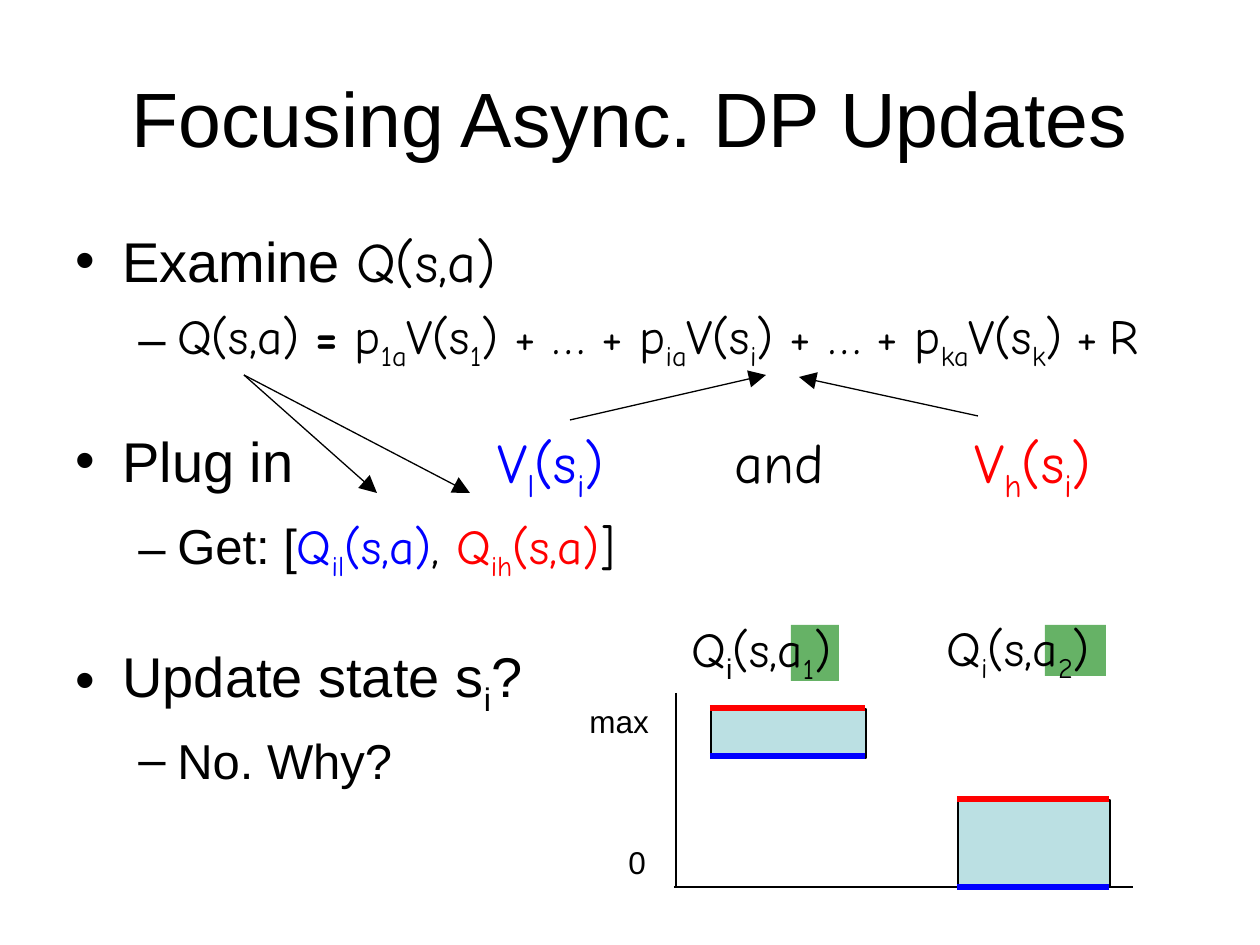
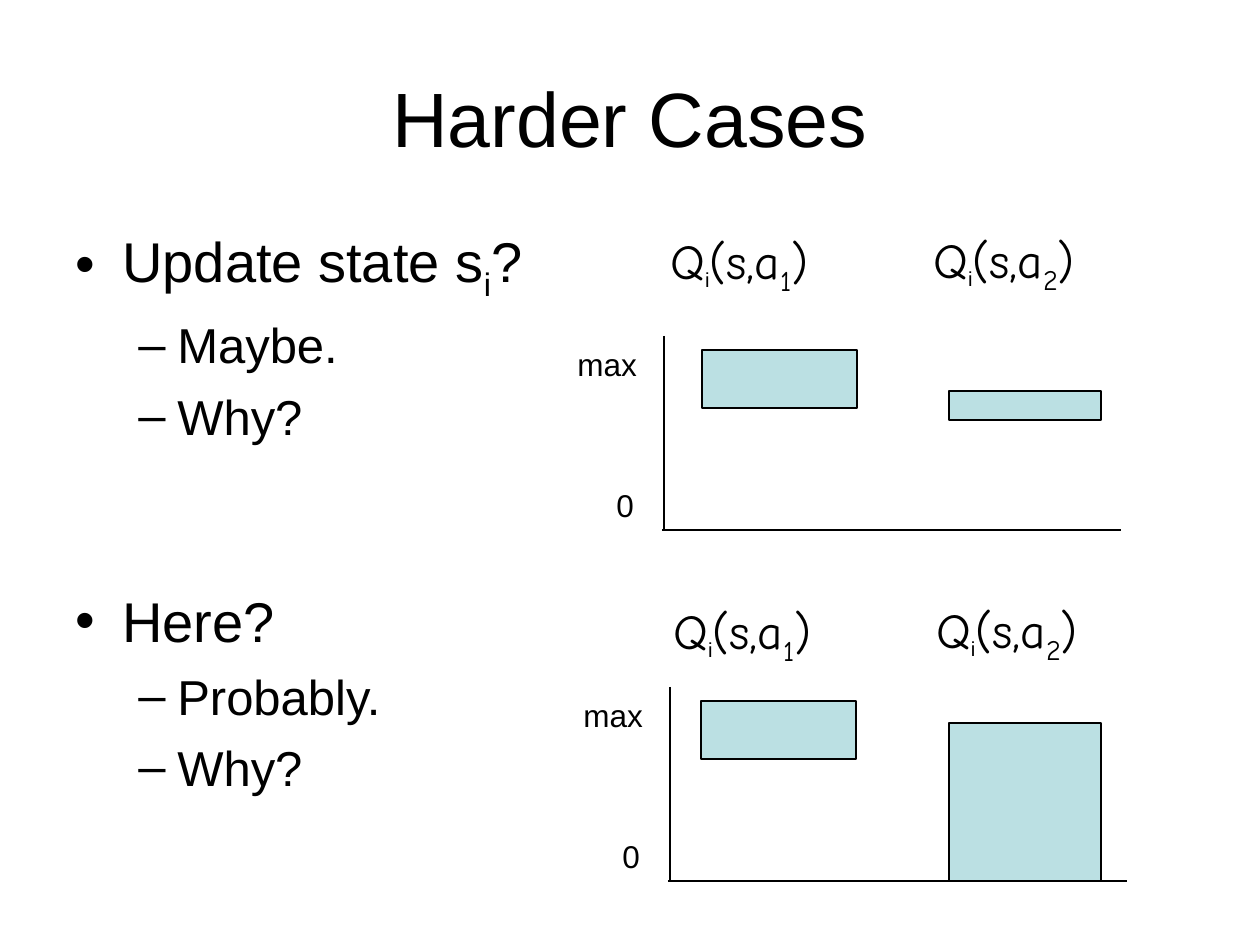
from lxml import etree
from pptx import Presentation
from pptx import util as u
from pptx.dml.color import RGBColor
from pptx.enum import shapes, text
from pptx.oxml import ns

PX = 914400 // 126
BLACK, BLUE, RED = "000000", "0000FF", "FF0000"
BAR_FILL, GREEN = "BBE0E3", "008000"
SANS, HAND = "Arial", "Comic Neue"
LEVELS = [
    {"bullet": "•", "margin": 47, "hang": 47, "size": 32, "before": 8},
    {"bullet": "–", "margin": 102, "hang": 39, "size": 28, "before": 7},
]


def px(length):
    """Turn whole pixels into EMU."""
    return u.Emu(length * PX)


def rgb(value):
    """Turn a hex string into a colour."""
    return RGBColor.from_string(value)


def add_child(parent, tag, **attributes):
    """Append a drawing element with attributes."""
    return etree.SubElement(parent, ns.qn(tag), attributes)


def plain(words, **style):
    """Make one span in the sans font."""
    return [(words, {"font": SANS, **style})]


def formula(*pieces, sub_style=None, **style):
    """Make hand-lettered spans in which every second piece is a subscript."""
    spans = []
    for index, piece in enumerate(pieces):
        extra = {"sub": True, **(sub_style or {})} if index % 2 else {}
        spans.append((piece, {"font": HAND, **style, **extra}))
    return spans


def write_spans(para, spans, size):
    """Write styled spans into a paragraph."""
    for words, style in spans:
        span = para.add_run()
        span.text = words
        span.font.name = style["font"]
        span.font.size = u.Pt(style.get("size", size))
        span.font.bold = style.get("bold", False)
        span.font.color.rgb = rgb(style.get("color", BLACK))
        if style.get("sub"):
            span._r.get_or_add_rPr().set("baseline", "-25000")


def add_box(page, left, top, width, height):
    """Add an empty wrapping text box and return its frame."""
    frame = page.shapes.add_textbox(px(left), px(top), px(width), px(height)).text_frame
    frame.word_wrap = True
    return frame


def add_label(page, left, top, width, height, spans, size):
    """Add a one-line label."""
    frame = add_box(page, left, top, width, height)
    write_spans(frame.paragraphs[0], spans, size)


def add_title(page, words):
    """Add the centred slide title."""
    frame = add_box(page, 63, 38, 1134, 157)
    frame.vertical_anchor = text.MSO_ANCHOR.MIDDLE
    para = frame.paragraphs[0]
    para.alignment = text.PP_ALIGN.CENTER
    write_spans(para, plain(words), 44)


def add_bullets(page, width, height, items):
    """Add the bulleted body from (level, spans, space before) items."""
    frame = add_box(page, 63, 220, width, height)
    for index, (depth, spans, before) in enumerate(items):
        level = LEVELS[depth]
        para = frame.add_paragraph() if index else frame.paragraphs[0]
        para.level = depth
        para.space_before = u.Pt((before or level["before"]) if index else 0)
        props = para._p.get_or_add_pPr()
        props.set("marL", str(px(level["margin"])))
        props.set("indent", str(-px(level["hang"])))
        add_child(add_child(props, "a:buClr"), "a:srgbClr", val=BLACK)
        add_child(props, "a:buFont", typeface=SANS)
        add_child(props, "a:buChar", char=level["bullet"])
        write_spans(para, spans, level["size"])


def add_line(page, start, end, color=BLACK, weight=0.75, arrow=False):
    """Add a straight line, with an arrowhead at its end if wanted."""
    line = page.shapes.add_connector(
        shapes.MSO_CONNECTOR.STRAIGHT, *map(px, start), *map(px, end))
    line.line.color.rgb = rgb(color)
    line.line.width = u.Pt(weight)
    if arrow:
        outline = line._element.spPr.find(ns.qn("a:ln"))
        add_child(outline, "a:tailEnd", type="triangle", w="lg", len="lg")
    add_child(line._element.spPr, "a:effectLst")


def add_rect(page, left, top, width, height, fill, outline=True, opacity=100):
    """Add a filled rectangle."""
    rect = page.shapes.add_shape(
        shapes.MSO_SHAPE.RECTANGLE, px(left), px(top), px(width), px(height))
    rect.shadow.inherit = False
    rect.fill.solid()
    rect.fill.fore_color.rgb = rgb(fill)
    if opacity < 100:
        color = rect._element.spPr.find(".//" + ns.qn("a:srgbClr"))
        add_child(color, "a:alpha", val=str(opacity * 1000))
    if outline:
        rect.line.color.rgb = rgb(BLACK)
        rect.line.width = u.Pt(0.75)
    else:
        rect.line.fill.background()


def add_q_label(page, left, top, action, sub_style):
    """Add the label Qi(s,a) for a numbered action."""
    spans = (formula("Q", "i", sub_style=sub_style) + formula("(s,a", action, ")"))
    add_label(page, left, top, 236, 79, spans, 28)


def add_range_chart(page, left, top, bars):
    """Draw the two axes, their end labels and the value ranges."""
    bottom = top + 194
    add_label(page, left - 60, top + 144, 48, 50, plain("0"), 18)
    add_label(page, left - 99, top + 3, 96, 50, plain("max"), 18)
    for bar in bars:
        add_rect(page, *bar, BAR_FILL)
    add_line(page, (left, top), (left, bottom))
    add_line(page, (left - 2, bottom), (left + 457, bottom))


def add_focusing_slide(deck):
    """Build the slide on focusing updates."""
    page = deck.slides.add_slide(deck.slide_layouts[6])
    add_rect(page, 1045, 625, 61, 51, GREEN, outline=False, opacity=60)
    add_rect(page, 791, 625, 48, 56, GREEN, outline=False, opacity=60)
    add_title(page, "Focusing Async. DP Updates")
    backup = (formula("Q(s,a) ") + formula("=", bold=True)
              + formula(" p", "1a", "V(s", "1", ") + … + p", "ia", "V(s", "i",
                        ") + … + p", "ka", "V(s", "k", ")")
              + formula(" ", size=24) + formula("+") + formula(" ", size=18) + formula("R"))
    bounds = (plain("Get: [") + formula("Q", "il", "(s,a)", color=BLUE) + formula(", ")
              + formula("Q", "ih", "(s,a)", color=RED) + formula("]"))
    add_bullets(page, 1173, 698, [
        (0, plain("Examine ") + formula("Q(s,a)"), None),
        (1, backup, None),
        (0, plain("Plug in"), 31),
        (1, bounds, 12),
        (0, plain("Update state s") + plain("i", sub=True) + plain("?"), 34),
        (1, plain("No. Why?"), None),
    ])
    for left, spans in [
        (485, formula("V", "l", "(s", "i", ")", color=BLUE)),
        (722, formula("and")),
        (962, formula("V", "h", "(s", "i", ")", color=RED)),
    ]:
        add_label(page, left, 421, 150, 84, spans, 32)
    add_q_label(page, 934, 611, "2", {})
    add_q_label(page, 679, 612, "1", {"font": SANS})
    add_range_chart(page, 676, 693, [(711, 709, 155, 49), (958, 800, 152, 87)])
    for start, end in [((570, 420), (766, 375)), ((978, 416), (799, 377)),
                       ((244, 375), (377, 493)), ((244, 375), (470, 493))]:
        add_line(page, start, end, arrow=True)
    for left, right, low, high in [(710, 865, 756, 708), (957, 1109, 887, 799)]:
        add_line(page, (left, low), (right, low), BLUE, 3)
        add_line(page, (left, high), (right, high), RED, 3)


def add_harder_slide(deck):
    """Build the slide on harder cases."""
    page = deck.slides.add_slide(deck.slide_layouts[6])
    add_title(page, "Harder Cases")
    add_bullets(page, 520, 636, [
        (0, plain("Update state s") + plain("i", sub=True) + plain("?"), None),
        (1, plain("Maybe."), None),
        (1, plain("Why?"), None),
        (0, plain("Here?"), 81),
        (1, plain("Probably."), None),
        (1, plain("Why?"), None),
    ])
    small = {"font": SANS, "size": 20}
    add_range_chart(page, 664, 336, [(702, 350, 155, 58), (949, 391, 152, 29)])
    add_range_chart(page, 670, 687, [(701, 701, 155, 58), (949, 723, 152, 158)])
    for left, top in [(658, 224), (661, 594)]:
        add_q_label(page, left, top, "1", small)
        add_q_label(page, left + 263, top - 1, "2", small)


def main():
    """Build and save the deck."""
    deck = Presentation()
    deck.slide_width, deck.slide_height = u.Inches(10), u.Inches(7.5)
    add_focusing_slide(deck)
    add_harder_slide(deck)
    deck.save("out.pptx")


if __name__ == "__main__":
    main()
